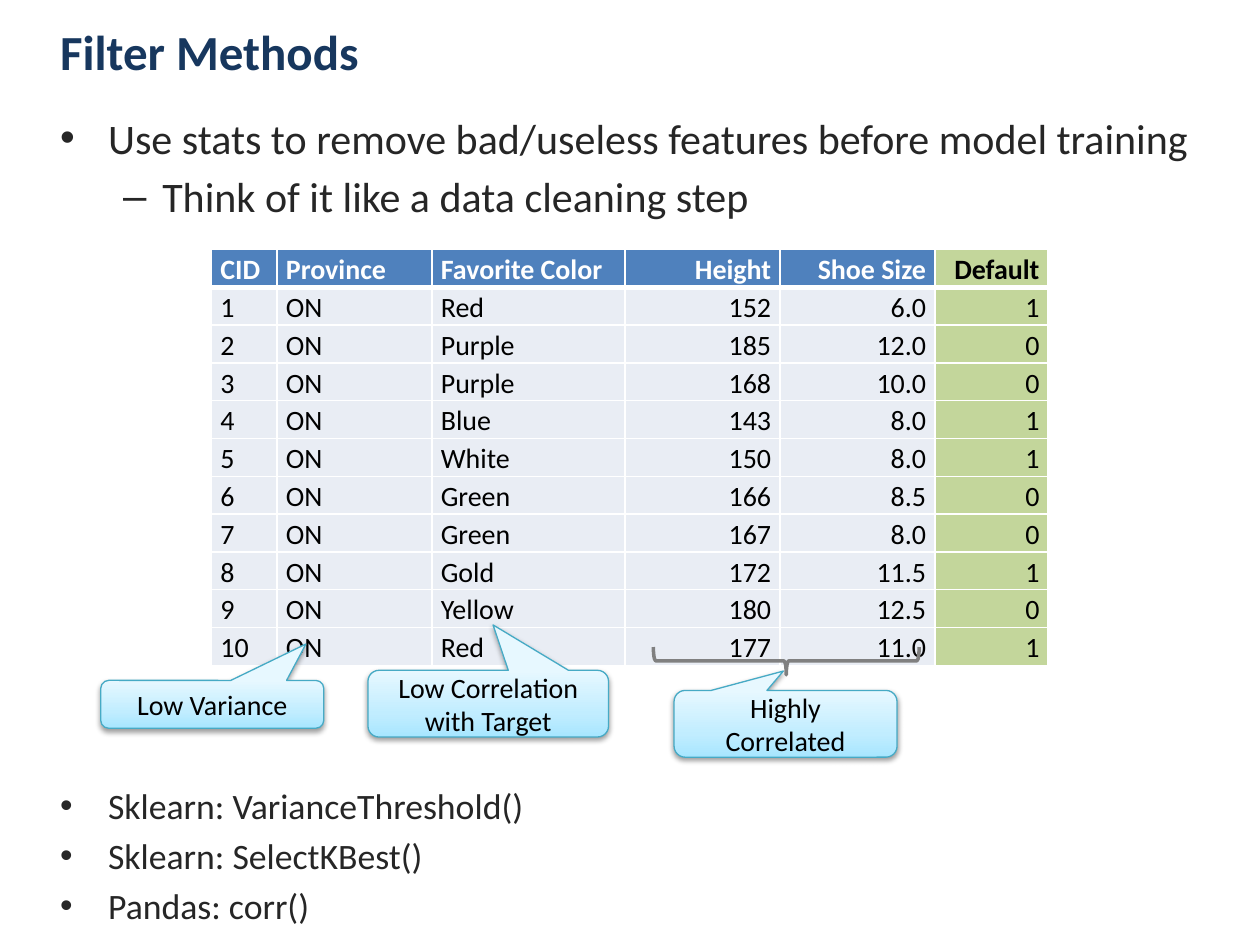
from copy import deepcopy

from lxml.etree import SubElement
from pptx import Presentation
from pptx.dml.color import RGBColor
from pptx.enum.shapes import MSO_SHAPE
from pptx.enum.text import MSO_ANCHOR, PP_ALIGN
from pptx.oxml.ns import qn
from pptx.util import Inches, Pt

COLORS = {
    "title": "17375E", "body": "262626", "black": "000000", "white": "FFFFFF",
    "header": "4F81BD", "cell": "E9EDF4", "target": "C3D69B",
    "callout_line": "46AAC5", "brace": "808080",
}
CALLOUT_GRADIENT = [(0, "A7E6FF"), (0.35, "C1EDFF"), (1, "E7F8FF")]


def color(name):
    return RGBColor.from_string(COLORS[name])


def add_text(frame, text, size=16, color_name="black", bold=False,
             align=PP_ALIGN.LEFT, bullet=None, level=0, margin=0.38, hanging=0.38):
    """Fill the frame's empty first paragraph, or append a further one."""
    first = not frame.text
    paragraph = frame.paragraphs[0] if first else frame.add_paragraph()
    paragraph.alignment = align
    paragraph.level = level
    if bullet:
        properties = paragraph._p.get_or_add_pPr()
        properties.set("marL", str(Inches(margin)))
        properties.set("indent", str(-Inches(hanging)))
        SubElement(properties, qn("a:buFont"), typeface="Arial")
        SubElement(properties, qn("a:buChar"), char=bullet)
        if not first:
            paragraph.space_before = Pt(size * 0.2)
    run = paragraph.add_run()
    run.text = text
    run.font.name = "Calibri"
    run.font.size = Pt(size)
    run.font.bold = bold
    run.font.color.rgb = color(color_name)
    return paragraph


presentation = Presentation()
presentation.slide_width = Inches(10)
presentation.slide_height = Inches(7.5)
slide = presentation.slides.add_slide(presentation.slide_layouts[6])

# Title and bullet lists
title_box = slide.shapes.add_textbox(Inches(0.38), Inches(0.05), Inches(8.2), Inches(0.71))
title_box.text_frame.word_wrap = True
title_box.text_frame.vertical_anchor = MSO_ANCHOR.MIDDLE
add_text(title_box.text_frame, "Filter Methods", size=28, color_name="title", bold=True)

bullet_lists = [
    (0.84, 24, [("Use stats to remove bad/useless features before model training", {}),
                ("Think of it like a data cleaning step",
                 {"bullet": "–", "level": 1, "margin": 0.81, "hanging": 0.31})]),
    (6.17, 20.4, [("Sklearn: VarianceThreshold()", {}),
                  ("Sklearn: SelectKBest()", {}),
                  ("Pandas: corr()", {})]),
]
for top, size, items in bullet_lists:
    box = slide.shapes.add_textbox(Inches(0.38), Inches(top), Inches(9.24), Inches(1.13))
    box.text_frame.word_wrap = True
    for text, options in items:
        add_text(box.text_frame, text, size=size, color_name="body",
                 **{"bullet": "•", **options})

# Table of customers
rows = [
    ("CID", "Province", "Favorite Color", "Height", "Shoe Size", "Default"),
    ("1", "ON", "Red", "152", "6.0", "1"),
    ("2", "ON", "Purple", "185", "12.0", "0"),
    ("3", "ON", "Purple", "168", "10.0", "0"),
    ("4", "ON", "Blue", "143", "8.0", "1"),
    ("5", "ON", "White", "150", "8.0", "1"),
    ("6", "ON", "Green", "166", "8.5", "0"),
    ("7", "ON", "Green", "167", "8.0", "0"),
    ("8", "ON", "Gold", "172", "11.5", "1"),
    ("9", "ON", "Yellow", "180", "12.5", "0"),
    ("10", "ON", "Red", "177", "11.0", "1"),
]
column_widths = [0.52, 1.23, 1.53, 1.23, 1.23, 0.9]
row_height = 0.3
table = slide.shapes.add_table(
    len(rows), len(column_widths), Inches(1.68), Inches(1.98),
    Inches(sum(column_widths)), Inches(row_height * len(rows))).table
table.horz_banding = False
for column, width in zip(table.columns, column_widths):
    column.width = Inches(width)

for row_index, values in enumerate(rows):
    table.rows[row_index].height = Inches(row_height)
    is_header = row_index == 0
    for column_index, value in enumerate(values):
        is_target = column_index == len(values) - 1
        cell = table.cell(row_index, column_index)
        cell.margin_left = cell.margin_right = Inches(0.07)
        cell.margin_top, cell.margin_bottom = Inches(0.01), 0
        middle = is_header or column_index == 0
        cell.vertical_anchor = MSO_ANCHOR.MIDDLE if middle else MSO_ANCHOR.TOP
        paragraph = add_text(
            cell.text_frame, value, bold=is_header,
            color_name="white" if is_header and not is_target else "black",
            align=PP_ALIGN.RIGHT if column_index >= 3 else PP_ALIGN.LEFT)
        paragraph.line_spacing = 1.07
        paragraph.space_after = Pt(8)

        cell_properties = cell._tc.get_or_add_tcPr()
        for side in ("L", "R", "T", "B"):
            below_header = (row_index, side) in ((0, "B"), (1, "T"))
            border = SubElement(cell_properties, qn(f"a:ln{side}"),
                                w=str(Pt(3 if below_header else 1)))
            border_fill = SubElement(border, qn("a:solidFill"))
            SubElement(border_fill, qn("a:srgbClr"), val=COLORS["white"])
        cell.fill.solid()
        cell.fill.fore_color.rgb = color(
            "target" if is_target else "header" if is_header else "cell")

# Callouts: text, left, top, width, height, pointer offset
callouts = [
    ("Low Variance", 0.8, 5.4, 1.77, 0.38, (0.42, -1.26)),
    ("Low Correlation with Target", 2.92, 5.32, 1.91, 0.53, (0.02, -1.18)),
    ("Highly Correlated", 5.35, 5.48, 1.77, 0.53, (-0.01, -0.79)),
]
for text, left, top, width, height, pointer in callouts:
    callout = slide.shapes.add_shape(
        MSO_SHAPE.ROUNDED_RECTANGULAR_CALLOUT,
        Inches(left), Inches(top), Inches(width), Inches(height))
    callout.adjustments[0], callout.adjustments[1] = pointer
    callout.fill.gradient()
    callout.fill.gradient_angle = 90
    stop_list = callout.element.find(".//" + qn("a:gsLst"))
    stop_list.insert(1, deepcopy(stop_list[0]))
    for stop, (position, hex_color) in zip(callout.fill.gradient_stops, CALLOUT_GRADIENT):
        stop.position = position
        stop.color.rgb = RGBColor.from_string(hex_color)
    callout.line.color.rgb = color("callout_line")
    callout.line.width = Pt(0.75)
    callout.shadow.inherit = False
    shadow = SubElement(callout.element.spPr.find(qn("a:effectLst")), qn("a:outerShdw"),
                        blurRad=str(Pt(3.1)), dist=str(Pt(1.6)), dir="5400000", rotWithShape="0")
    shadow_color = SubElement(shadow, qn("a:srgbClr"), val=COLORS["black"])
    SubElement(shadow_color, qn("a:alpha"), val="38000")
    callout.text_frame.word_wrap = True
    callout.text_frame.vertical_anchor = MSO_ANCHOR.MIDDLE
    add_text(callout.text_frame, text, align=PP_ALIGN.CENTER)

# Brace joining the Height and Shoe Size columns
brace = slide.shapes.add_shape(
    MSO_SHAPE.RIGHT_BRACE, Inches(6.13), Inches(4.19), Inches(0.22), Inches(2.11))
brace.rotation = 90
brace.fill.background()
brace.line.color.rgb = color("brace")
brace.line.width = Pt(2)
brace.shadow.inherit = False

presentation.save("out.pptx")
